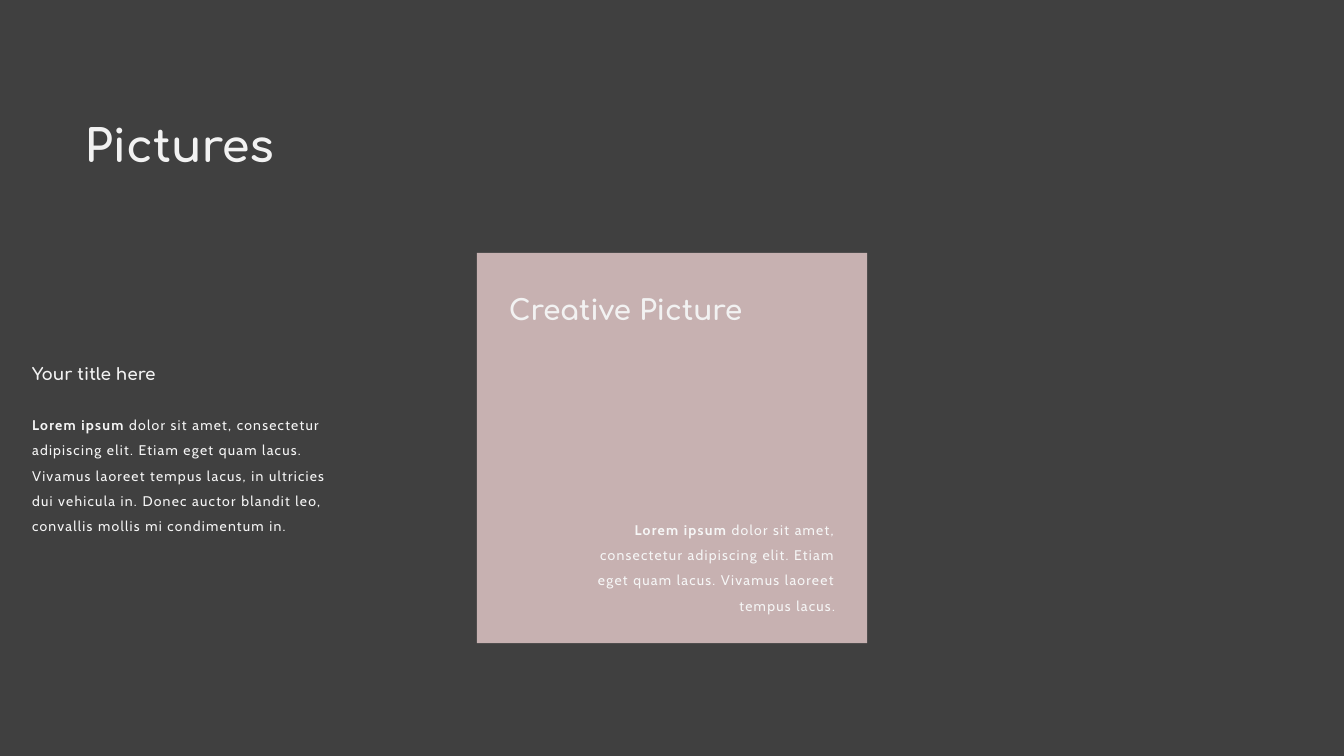
from lxml import etree
from pptx import Presentation
from pptx.dml.color import RGBColor
from pptx.enum.shapes import MSO_SHAPE
from pptx.enum.text import MSO_ANCHOR, MSO_AUTO_SIZE, PP_ALIGN
from pptx.oxml.ns import qn
from pptx.util import Inches, Pt

COLORS = {"background": "404040", "card": "C7B1B1", "heading": "F2F2F2", "body": "F6F6F6"}
HEADING_FONT = "Comfortaa"
BODY_FONT = "Cabin"
LEAD = "Lorem ipsum "
CARD_TEXT = ("dolor sit amet, consectetur adipiscing elit. Etiam eget quam lacus. "
             "Vivamus laoreet tempus lacus.")
PANEL_TEXT = ("dolor sit amet, consectetur adipiscing elit. Etiam eget quam lacus. "
              "Vivamus laoreet tempus lacus, in ultricies dui vehicula in. "
              "Donec auctor blandit leo, convallis mollis mi condimentum in.")


class SlideBuilder:
    """Holds the style and the current slide."""

    def __init__(self, slide):
        """Take a slide and paint its background."""
        self.slide = slide
        fill = slide.background.fill
        fill.solid()
        fill.fore_color.rgb = self.color("background")

    def color(self, name):
        """Return a named colour."""
        return RGBColor.from_string(COLORS[name])

    def square(self, left, top, size, color, opacity=100):
        """Draw a borderless square, see-through below full opacity."""
        shape = self.slide.shapes.add_shape(
            MSO_SHAPE.RECTANGLE, Inches(left), Inches(top), Inches(size), Inches(size))
        shape.shadow.inherit = False
        shape.line.fill.background()
        shape.fill.solid()
        shape.fill.fore_color.rgb = self.color(color)
        if opacity < 100:
            fill_color = shape.fill._xPr.find(qn("a:solidFill"))[0]
            etree.SubElement(fill_color, qn("a:alpha")).set("val", str(opacity * 1000))

    def text_box(self, left, top, width, height):
        """Add an empty text box."""
        return self.slide.shapes.add_textbox(
            Inches(left), Inches(top), Inches(width), Inches(height))

    def first_paragraph(self, shape, align):
        """Prepare a text frame and return its aligned paragraph."""
        frame = shape.text_frame
        frame.word_wrap = True
        frame.auto_size = MSO_AUTO_SIZE.SHAPE_TO_FIT_TEXT
        frame.vertical_anchor = MSO_ANCHOR.TOP
        paragraph = frame.paragraphs[0]
        paragraph.alignment = align
        return paragraph

    def add_run(self, paragraph, text, font_name, size, color, bold):
        """Append one formatted run and return it."""
        run = paragraph.add_run()
        run.text = text
        run.font.name = font_name
        run.font.size = Pt(size)
        run.font.bold = bold
        run.font.color.rgb = self.color(color)
        return run

    def fill_heading(self, shape, text, size):
        """Write a bold heading into a shape."""
        paragraph = self.first_paragraph(shape, PP_ALIGN.LEFT)
        self.add_run(paragraph, text, HEADING_FONT, size, "heading", True)

    def title(self, left, top, width, height, text, size):
        """Place and format the title placeholder."""
        shape = self.slide.shapes.title
        shape.left, shape.top = Inches(left), Inches(top)
        shape.width, shape.height = Inches(width), Inches(height)
        self.fill_heading(shape, text, size)

    def heading(self, left, top, width, height, text, size):
        """Add a heading in a text box."""
        self.fill_heading(self.text_box(left, top, width, height), text, size)

    def body(self, left, top, width, height, text, align=PP_ALIGN.LEFT):
        """Add spaced body text that opens with the bold lead."""
        paragraph = self.first_paragraph(self.text_box(left, top, width, height), align)
        paragraph.line_spacing = 1.5
        for part, bold in ((LEAD, True), (text, False)):
            run = self.add_run(paragraph, part, BODY_FONT, 10, "body", bold)
            run.font._element.set("spc", "90")


def main():
    """Build the slide and save it."""
    presentation = Presentation()
    presentation.slide_width = Inches(13.33)
    presentation.slide_height = Inches(7.5)
    builder = SlideBuilder(presentation.slides.add_slide(presentation.slide_layouts[5]))

    square_top, square_size, heading_width = 2.51, 3.87, 3.44
    builder.square(0, square_top, square_size, "background", opacity=80)
    builder.square(4.73, square_top, square_size, "card")
    builder.body(0.22, 4, 3.24, 1.33, PANEL_TEXT)
    builder.heading(0.22, 3.56, heading_width, 0.3, "Your title here", 12)
    builder.title(0.74, 1.12, heading_width, 0.64, "Pictures", 32)
    builder.heading(4.95, 2.85, heading_width, 0.44, "Creative Picture", 20)
    builder.body(5.78, 5.04, 2.6, 1.08, CARD_TEXT, PP_ALIGN.RIGHT)
    presentation.save("out.pptx")


main()
